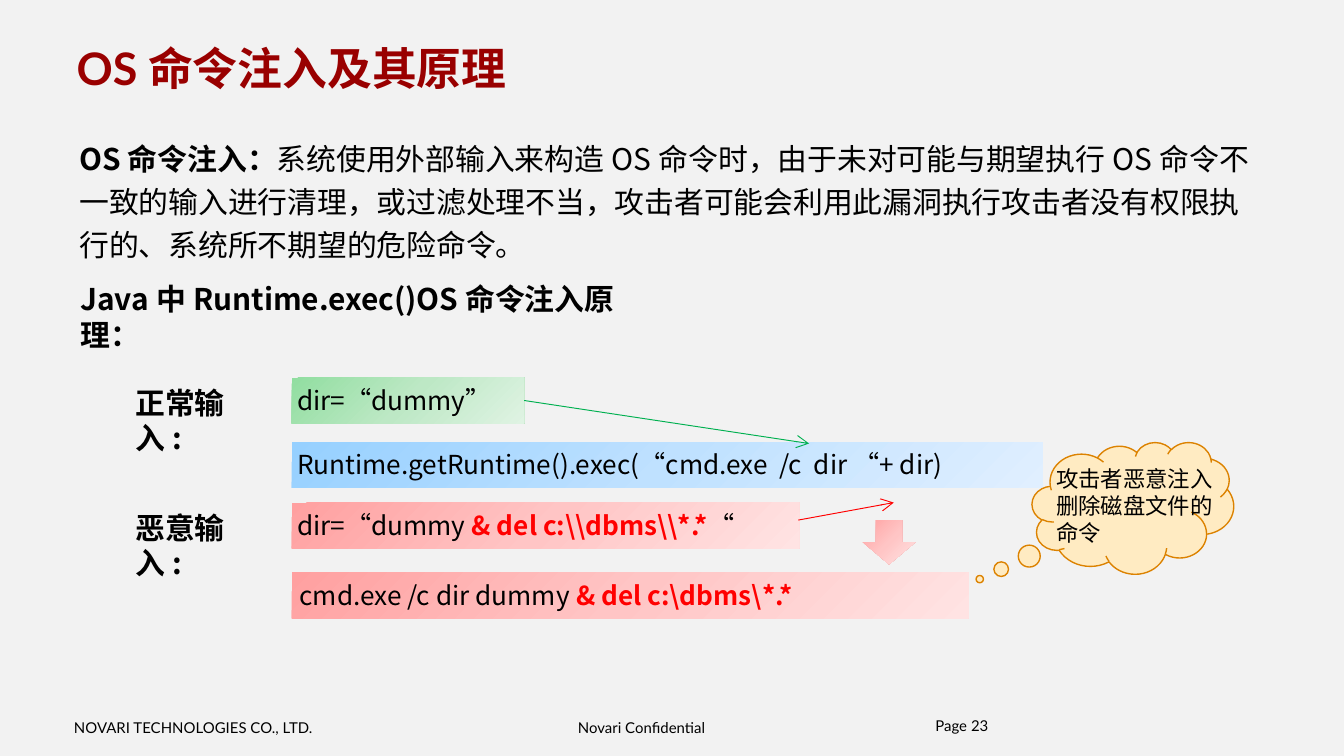
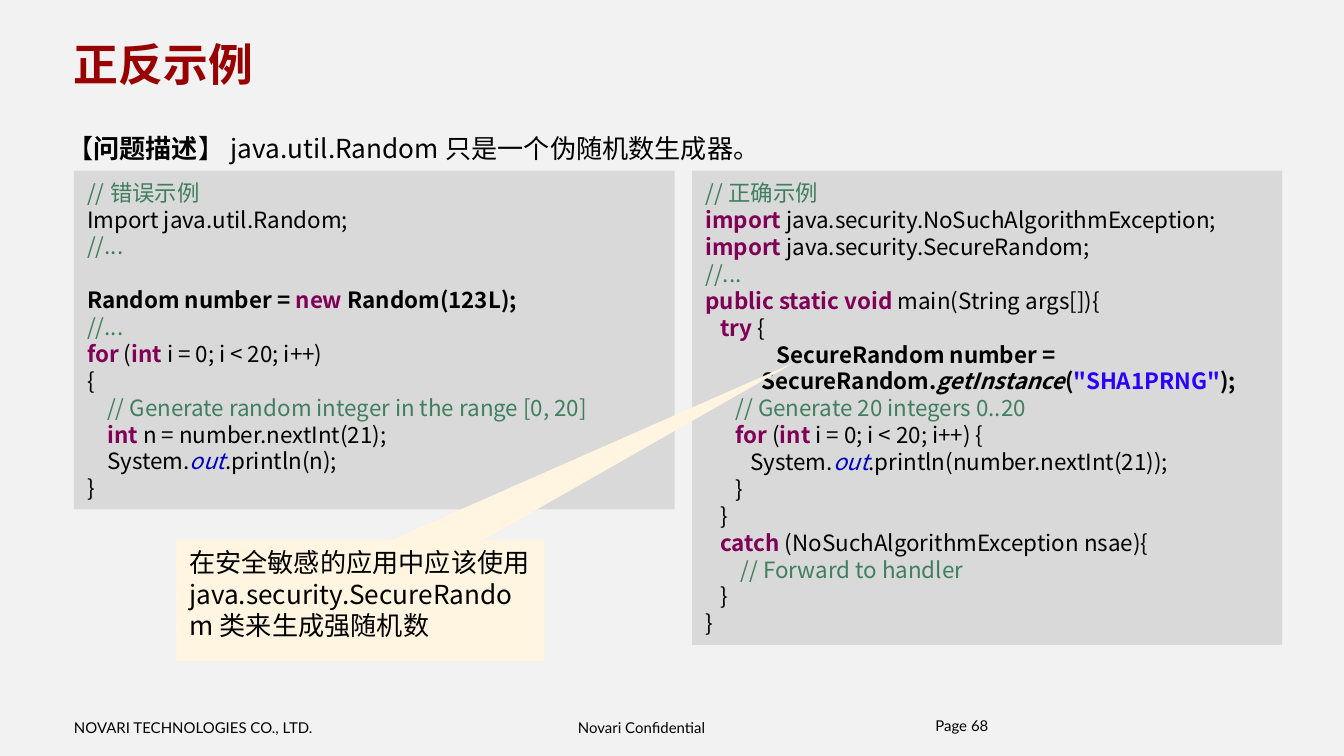
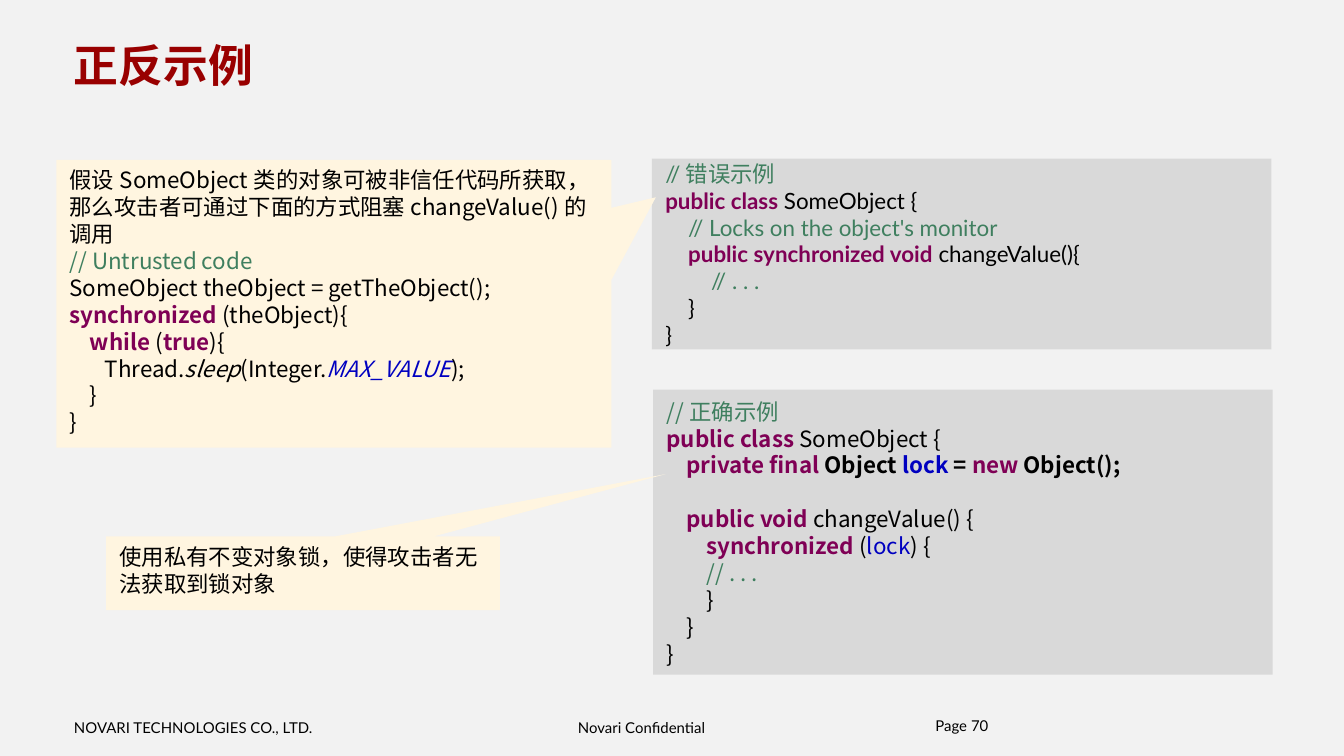
from copy import deepcopy
from dataclasses import dataclass

from lxml.etree import SubElement
from pptx import Presentation
from pptx.dml.color import RGBColor as Rgb
from pptx.enum.shapes import MSO_CONNECTOR as Link, MSO_SHAPE as Kind
from pptx.enum.text import MSO_ANCHOR as Anchor, MSO_AUTO_SIZE as Fit, PP_ALIGN as Align
from pptx.oxml.ns import qn
from pptx.util import Inches, Pt


@dataclass(frozen=True)
class Theme:
    """Colours, fonts and type sizes of the deck."""
    latin: str = "Lato"
    hans: str = "Noto Sans CJK SC"
    back: str = "F2F2F2"
    title: str = "990000"
    ink: str = "000000"
    panel: str = "D9D9D9"
    note: str = "FFF5E0"
    cloud: str = "FFEBC2"
    edge: str = "DC8200"
    safe: str = "00B050"
    risk: str = "FF0000"
    green: tuple = ("91DEA0", "BDE8C5", "DFF3E3")
    blue: tuple = ("96D0FF", "BFE1FF", "E0EFFF")
    red: tuple = ("FFA0A0", "FFC5C5", "FFE3E3")
    head: int = 24
    lead: int = 16
    bar: int = 14
    code: int = 12
    foot: int = 8
    line: float = 1.2


T = Theme()

STYLES = {
    "": (T.ink, False, False),
    "b": (T.ink, True, False),
    "i": (T.ink, False, True),
    "m": (T.ink, True, True),
    "k": ("7F0055", True, False),
    "c": ("3F7F5F", False, False),
    "f": ("0000C0", False, False),
    "F": ("0000C0", True, False),
    "o": ("0000C0", False, True),
    "s": ("2A00FF", True, False),
    "r": (T.risk, True, False),
    "t": (T.title, True, False),
}

WRONG = [
    "`c//错误示例`",
    "Import java.util.Random;",
    "`c//...`",
    "",
    "`bRandom number = ``knew``b Random(123L);`",
    "`c//...`",
    "`kfor` (`kint` i = 0; i < 20; i++)",
    "{",
    "`c    // Generate random integer in the range [0, 20]`",
    "`k    int` n = number.nextInt(21);",
    "    System.`oout`.println(n);",
    "}",
]

RIGHT = [
    "`c//正确示例`",
    "`kimport` java.security.NoSuchAlgorithmException;",
    "`kimport` java.security.SecureRandom;",
    "`c//...`",
    "`kpublic static void` main(String args[]){",
    "   `ktry `{",
    "`b              SecureRandom number =`",
    "`b           SecureRandom.``mgetInstance``b(``s\"SHA1PRNG\"``b);`",
    "      `c// Generate 20 integers 0..20`",
    "      `kfor` (`kint` i = 0; i < 20; i++) {",
    "         System.`oout`.println(number.nextInt(21));",
    "      }",
    "   }",
    "   `kcatch` (NoSuchAlgorithmException nsae){",
    "       `c// Forward to handler`",
    "   }",
    "}",
]

OPEN_LOCK = [
    "`c//错误示例`",
    "`kpublic class` SomeObject {",
    "    `c// Locks on the object's monitor`",
    "    `kpublic synchronized void` changeValue(){",
    "        `c// . . .`",
    "    }",
    "}",
]

OWN_LOCK = [
    "`c//正确示例`",
    "`kpublic class` SomeObject {",
    "    `kprivate final``b Object ``Flock``b = ``knew``b Object();`",
    "",
    "    `kpublic void` changeValue() {",
    "        `ksynchronized` (`flock`) {",
    "        `c// . . .`",
    "        }",
    "    }",
    "}",
]

ATTACK = [
    "假设SomeObject类的对象可被非信任代码所获取，那么攻击者可通过下面的方式阻塞changeValue()的调用",
    "`c// Untrusted code`",
    "SomeObject theObject = getTheObject();",
    "`ksynchronized` (theObject){",
    "`k    while` (`ktrue`){",
    "       Thread.`isleep`(Integer.`oMAX_VALUE`);",
    "    }",
    "}",
]


def span(box):
    """Turn a box in inches into lengths."""
    return [Inches(n) for n in box]


def paint(shape, fill, edge=None):
    """Set a plain or graded fill and an edge."""
    shape.shadow.inherit = False
    if isinstance(fill, tuple):
        shape.fill.gradient()
        shape.fill.gradient_angle = 315
        stops = shape._element.spPr.find(qn("a:gradFill")).find(qn("a:gsLst"))
        stops.insert(1, deepcopy(stops[0]))
        for stop, tone, spot in zip(shape.fill.gradient_stops, fill, (0, 0.5, 1)):
            stop.color.rgb = Rgb.from_string(tone)
            stop.position = spot
    else:
        shape.fill.solid()
        shape.fill.fore_color.rgb = Rgb.from_string(fill)
    if edge:
        shape.line.color.rgb = Rgb.from_string(edge)
        shape.line.width = Pt(0.75)
    else:
        shape.line.fill.background()


def add_run(para, text, style, size, face):
    """Add one run in a named style."""
    tone, bold, slant = STYLES[style]
    run = para.add_run()
    run.text = text
    font = run.font
    font.size, font.bold, font.italic, font.name = Pt(size), bold, slant, face
    font.color.rgb = Rgb.from_string(tone)
    SubElement(run._r.get_or_add_rPr(), qn("a:ea"), typeface=T.hans)


def write(shape, lines, size, face=T.hans, pad=(0.1, 0.05), lead=1, anchor=Anchor.TOP):
    """Fill a shape with marked-up lines; an empty line becomes a gap."""
    frame = shape.text_frame
    frame.word_wrap, frame.auto_size, frame.vertical_anchor = True, Fit.NONE, anchor
    frame.margin_left = frame.margin_right = Inches(pad[0])
    frame.margin_top = frame.margin_bottom = Inches(pad[1])
    step, gap, para = Pt(size * T.line * lead), 0, None
    for line in lines:
        if not line:
            gap = step
            continue
        para = frame.add_paragraph() if para else frame.paragraphs[0]
        props = para._p.get_or_add_pPr()
        for name in ("marL", "indent", "hangingPunct"):
            props.set(name, "0")
        SubElement(props, qn("a:buNone"))
        para.alignment, para.line_spacing = Align.LEFT, step
        para.space_before, para.space_after, gap = gap, 0, 0
        for spot, part in enumerate(line.split("`")):
            if part:
                style, text = (part[0], part[1:]) if spot % 2 else ("", part)
                add_run(para, text, style, size, face)


def add_text(slide, box, lines, size, **look):
    """Place a text box."""
    write(slide.shapes.add_textbox(*span(box)), lines, size, **look)


def add_form(slide, kind, box, fill, edge=None, tip=()):
    """Place a preset shape."""
    shape = slide.shapes.add_shape(kind, *span(box))
    for spot, value in enumerate(tip):
        shape.adjustments[spot] = value
    paint(shape, fill, edge)
    return shape


def add_bar(slide, box, fill, line, inset=0.04):
    """Place a graded bar with one line of code."""
    bar = add_form(slide, Kind.RECTANGLE, box, fill)
    write(bar, [line], T.bar, pad=(inset, 0.05))
    return bar


def add_panel(slide, box, lines):
    """Place a grey panel of code."""
    panel = add_form(slide, Kind.RECTANGLE, box, T.panel)
    write(panel, lines, T.code, anchor=Anchor.MIDDLE)


def add_note(slide, box, tip, lines, size=T.code):
    """Place a note that points at code."""
    write(add_form(slide, Kind.RECTANGULAR_CALLOUT, box, T.note, tip=tip), lines, size)


def add_arrow(slide, start, end, tone, source=None):
    """Draw a thin arrow, joined to the right side of its source."""
    arrow = slide.shapes.add_connector(Link.STRAIGHT, *span(start + end))
    if source:
        arrow.begin_connect(source, 3)
    arrow.line.color.rgb = Rgb.from_string(tone)
    arrow.line.width = Pt(0.5)
    SubElement(arrow.line._get_or_add_ln(), qn("a:tailEnd"), type="arrow")
    SubElement(arrow._element.spPr, qn("a:effectLst"))


def add_foot(slide, box, page):
    """Place the three parts of the footer in a band."""
    x, y, wide, high = box
    parts = [
        (0, 1.91, high, "NOVARI TECHNOLOGIES CO., LTD.", 0, 1),
        (3.66, 1.26, high, "Novari Confidential", 0.09, 1),
        (6.41, wide - 6.41, 0.37, f"Page {page}", 0, 0.85),
    ]
    for left, width, tall, text, inset, lead in parts:
        add_text(slide, (x + left, y, width, tall), [text], T.foot,
                 face=T.latin, pad=(inset, 0), lead=lead)


def start(deck, layout, box, title, page):
    """Add a slide with its title and footer."""
    slide = deck.slides.add_slide(deck.slide_layouts[layout])
    head = slide.shapes.title
    head.left, head.top, head.width, head.height = span(box)
    write(head, [f"`t{title}`"], T.head, face=T.latin, pad=(0.07, 0.04), anchor=Anchor.MIDDLE)
    add_foot(slide, (0.55, 5.35, 8.7, 0.13), page)
    return slide


def draw_flow(slide, box):
    """Show how normal and hostile input reach the command."""
    x, y, wide, high = box
    left, tall = x + 1.26, 0.34
    for drop, label in ((0, "正常输入:"), (0.93, "恶意输入:")):
        add_text(slide, (x, y + drop, 1.16, 0.37), [f"`b{label}`"], T.lead)
    add_bar(slide, (left, y + 0.48, 5.59, tall), T.blue,
            "Runtime.getRuntime().exec(“cmd.exe  /c  dir “+ dir)")
    safe = add_bar(slide, (left, y, 1.73, tall), T.green, "dir=“dummy”")
    add_bar(slide, (left, y + 0.93, 3.78, tall), T.red,
            r"dir=“dummy `r& del c:\\dbms\\*.*`“")
    add_bar(slide, (left, y + high - tall, 5.04, tall), T.red,
            r"cmd.exe /c dir dummy `r& del c:\dbms\*.*`", 0.06)
    add_arrow(slide, (left + 1.73, y + 0.17), (x + 5.11, y + 0.49), T.safe, safe)
    add_arrow(slide, (x + 5.03, y + 1.06), (x + 5.74, y + 0.93), T.risk)
    add_form(slide, Kind.DOWN_ARROW, (x + 5.51, y + 1.06, 0.39, 0.33), T.red)
    add_form(slide, Kind.CLOUD_CALLOUT, (x + wide - 1.5, y + 0.48, 1.5, 0.98),
             T.cloud, T.edge, (-0.76, 0.54))
    add_text(slide, (x + wide - 1.42, y + 0.6, 1.42, 0.71),
             ["攻击者恶意注入删除磁盘文件的命令"], T.code)


def show_inject(deck):
    """Build the slide on command injection."""
    slide = start(deck, 5, (0.5, 0.26, 8.35, 0.48), "OS命令注入及其原理", 23)
    add_text(slide, (0.5, 0.95, 8.95, 1.06), [
        "`bOS命令注入：`系统使用外部输入来构造OS命令时，由于未对可能与期望执行OS命令不一致的输入"
        "进行清理，或过滤处理不当，攻击者可能会利用此漏洞执行攻击者没有权限执行的、系统所不期望的危险命令。"
    ], T.lead, pad=(0.09, 0.04), lead=1.2)
    add_text(slide, (0.5, 2.04, 4.41, 0.35), ["`bJava中Runtime.exec()OS命令注入原理：`"], T.lead)
    draw_flow(slide, (0.91, 2.81, 8.27, 1.79))


def show_random(deck):
    """Build the slide on random numbers."""
    slide = start(deck, 5, (0.48, 0.23, 8.82, 0.48), "正反示例", 68)
    add_panel(slide, (0.55, 1.27, 4.47, 2.52), WRONG)
    add_panel(slide, (5.15, 1.27, 4.39, 3.53), RIGHT)
    add_text(slide, (0.41, 0.85, 5.39, 0.42),
             ["【`b问题描述`】java.util.Random只是一个伪随机数生成器。"],
             T.bar, pad=(0.09, 0.04), lead=1.4)
    add_note(slide, (1.31, 4.02, 2.74, 0.9), (1.18, -1.97),
             ["在安全敏感的应用中应该使用java.security.SecureRandom类来生成强随机数"], T.bar)


def show_lock(deck):
    """Build the slide on object locks."""
    slide = start(deck, 1, (0.48, 0.24, 8.82, 0.48), "正反示例", 70)
    add_panel(slide, (4.86, 2.9, 4.61, 2.12), OWN_LOCK)
    body = slide.placeholders[1]
    body.left, body.top, body.width, body.height = span((4.85, 1.18, 4.61, 1.42))
    body.fill.solid()
    body.fill.fore_color.rgb = Rgb.from_string(T.panel)
    write(body, OPEN_LOCK, T.code, face=T.latin, anchor=Anchor.MIDDLE)
    add_note(slide, (0.42, 1.19, 4.13, 2.14), (0.58, -0.37), ATTACK)
    add_note(slide, (0.79, 3.99, 2.93, 0.55), (0.92, -1.34),
             ["使用私有不变对象锁，使得攻击者无法获取到锁对象"])


def main():
    """Build and save the deck."""
    deck = Presentation()
    deck.slide_width, deck.slide_height = span((10, 10 * 9 / 16))
    back = deck.slide_master.background.fill
    back.solid()
    back.fore_color.rgb = Rgb.from_string(T.back)
    for show in (show_inject, show_random, show_lock):
        show(deck)
    deck.save("out.pptx")


if __name__ == "__main__":
    main()
